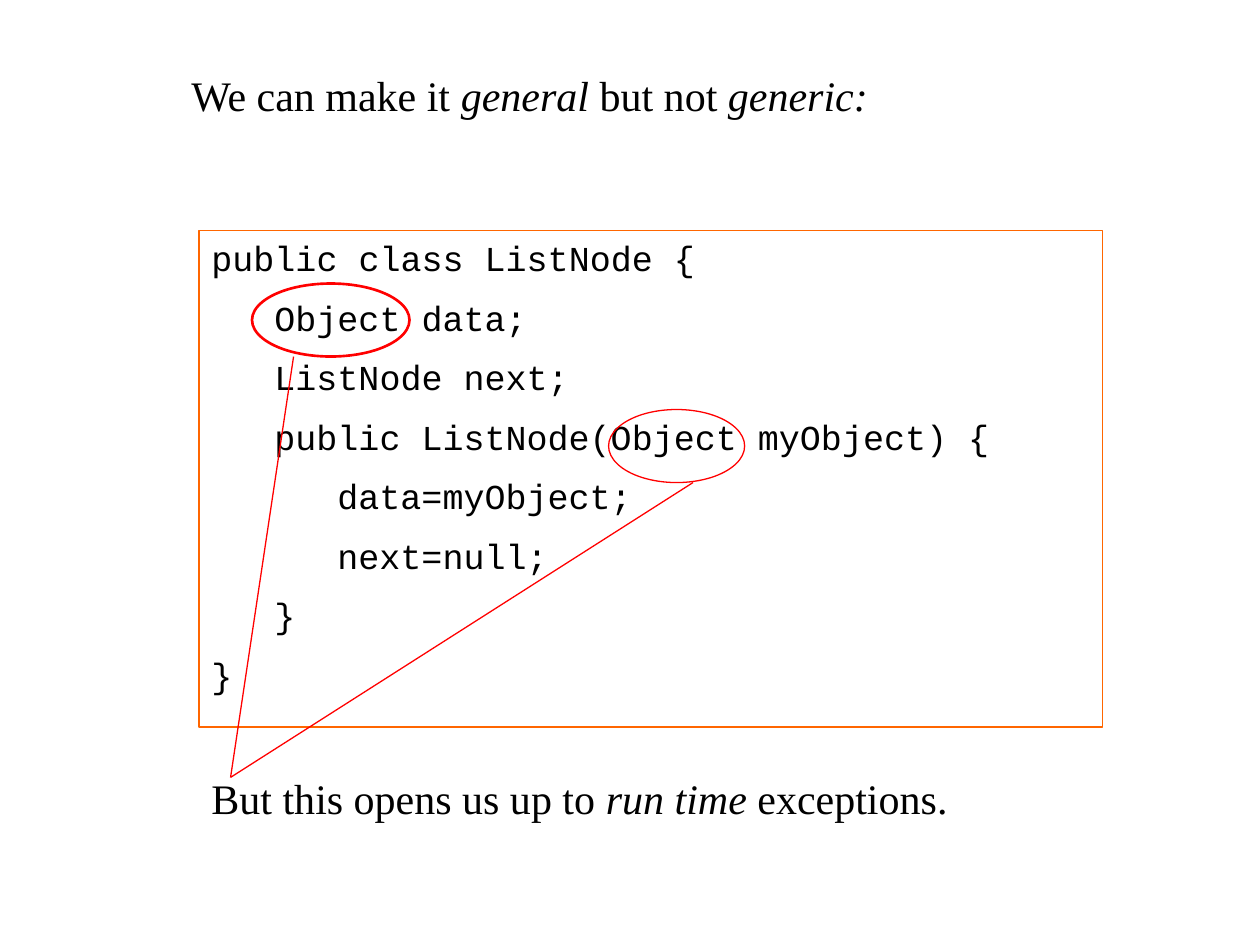
from typing import NamedTuple

from lxml import etree
from pptx import Presentation
from pptx import util as u
from pptx.dml.color import RGBColor
from pptx.enum import shapes, text
from pptx.oxml.ns import qn

BLACK = RGBColor(0x00, 0x00, 0x00)
ORANGE = RGBColor(0xFF, 0x66, 0x00)
RED = RGBColor(0xFF, 0x00, 0x00)
INDENT = 0.5


class Box(NamedTuple):
    left: float
    top: float
    width: float
    height: float

    def lengths(self) -> list:
        return [u.Inches(value) for value in self]


class Phrase(NamedTuple):
    words: str
    italic: bool = False


class Line(NamedTuple):
    phrases: list[Phrase]
    level: int = 0


class Highlight(NamedTuple):
    box: Box
    weight: float
    tail_x: float


prs = Presentation()
prs.slide_width, prs.slide_height = u.Inches(10), u.Inches(7.5)
slide = prs.slides.add_slide(prs.slide_layouts[6])


def write(frame, lines: list[Line], *, font: str, size: float) -> None:
    frame.word_wrap = True
    frame.auto_size = text.MSO_AUTO_SIZE.NONE
    frame.vertical_anchor = text.MSO_ANCHOR.TOP
    for index, line in enumerate(lines):
        paragraph = frame.paragraphs[0] if index == 0 else frame.add_paragraph()
        paragraph.alignment = text.PP_ALIGN.LEFT
        properties = paragraph._p.get_or_add_pPr()
        properties.set("marL", str(u.Inches(INDENT * line.level)))
        before = etree.SubElement(properties, qn("a:spcBef"))
        etree.SubElement(before, qn("a:spcPct")).set("val", "50000")
        for phrase in line.phrases:
            run = paragraph.add_run()
            run.text = phrase.words
            run.font.name = font
            run.font.size = u.Pt(size)
            run.font.italic = phrase.italic
            run.font.color.rgb = BLACK


def add_sentence(box: Box, phrases: list[Phrase]) -> None:
    sentence = slide.shapes.add_textbox(*box.lengths())
    write(sentence.text_frame, [Line(phrases)], font="Times New Roman", size=24)


def add_outline(kind, box: Box, color: RGBColor, weight: float):
    outline = slide.shapes.add_shape(kind, *box.lengths())
    outline.shadow.inherit = False
    outline.fill.background()
    outline.line.color.rgb = color
    outline.line.width = u.Pt(weight)
    return outline


def add_pointer(start: tuple[float, float], end: tuple[float, float]) -> None:
    ends = [u.Inches(value) for value in (*start, *end)]
    pointer = slide.shapes.add_connector(shapes.MSO_CONNECTOR.STRAIGHT, *ends)
    pointer.line.color.rgb = RED
    pointer.line.width = u.Pt(0.75)
    etree.SubElement(pointer._element.spPr, qn("a:effectLst"))


CODE = [
    (0, "public class ListNode {"),
    (1, "Object data;"),
    (1, "ListNode next;"),
    (1, "public ListNode(Object myObject) {"),
    (2, "data=myObject;"),
    (2, "next=null;"),
    (1, "}"),
    (0, "}"),
]
HIGHLIGHTS = [
    Highlight(Box(2, 2.25, 1.25, 0.58), 1.5, 2.33),
    Highlight(Box(4.83, 3.25, 1.08, 0.58), 0.75, 5.5),
]
WARNING_POINT = (1.83, 6.17)

add_sentence(
    Box(1.42, 0.5, 6.92, 1.1),
    [Phrase("We can make it "), Phrase("general", True), Phrase(" but not "), Phrase("generic:", True)],
)

listing = add_outline(shapes.MSO_SHAPE.RECTANGLE, Box(1.58, 1.83, 7.17, 3.94), ORANGE, 0.75)
write(
    listing.text_frame,
    [Line([Phrase(words)], level) for level, words in CODE],
    font="Courier New",
    size=20,
)

for highlight in HIGHLIGHTS:
    add_outline(shapes.MSO_SHAPE.OVAL, highlight.box, RED, highlight.weight)

add_sentence(
    Box(1.58, 6.08, 7.08, 0.5),
    [Phrase("But this opens us up to "), Phrase("run time", True), Phrase(" exceptions.")],
)

for highlight in HIGHLIGHTS:
    bottom = highlight.box.top + highlight.box.height
    add_pointer((highlight.tail_x, bottom), WARNING_POINT)

prs.save("out.pptx")
